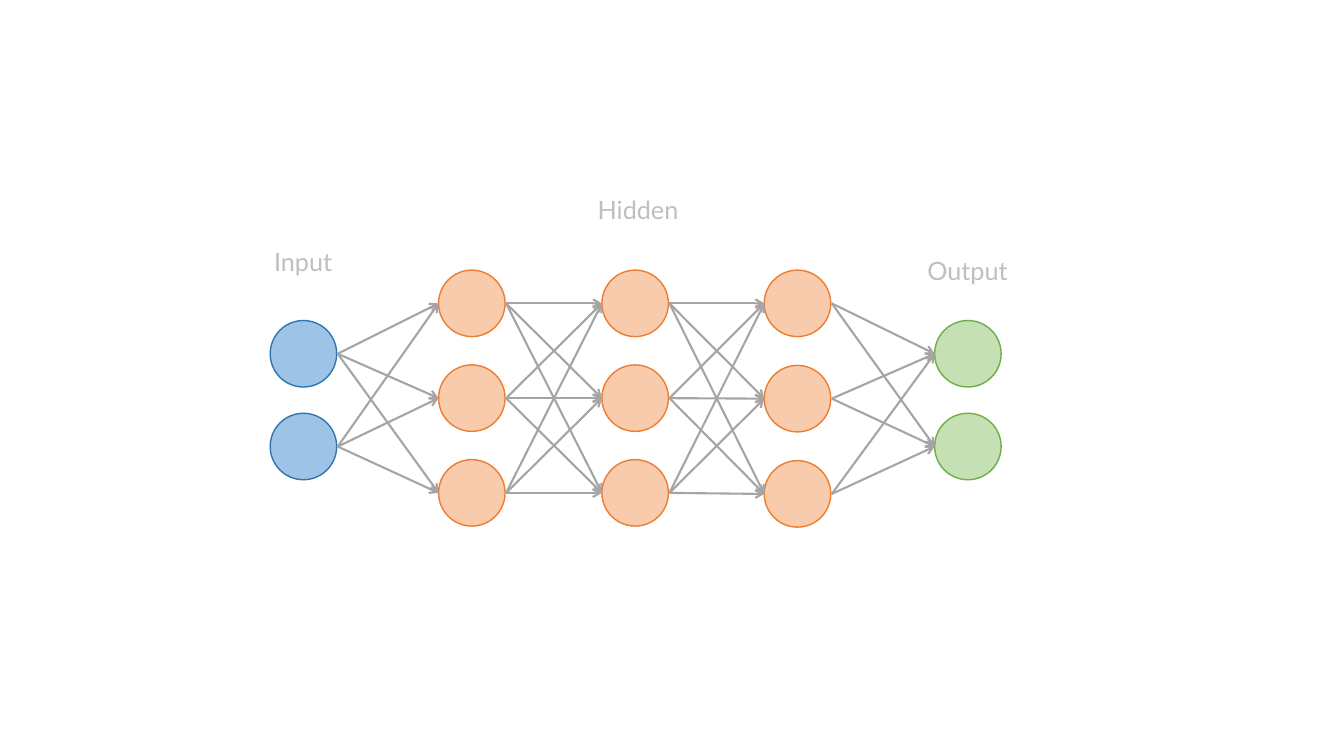
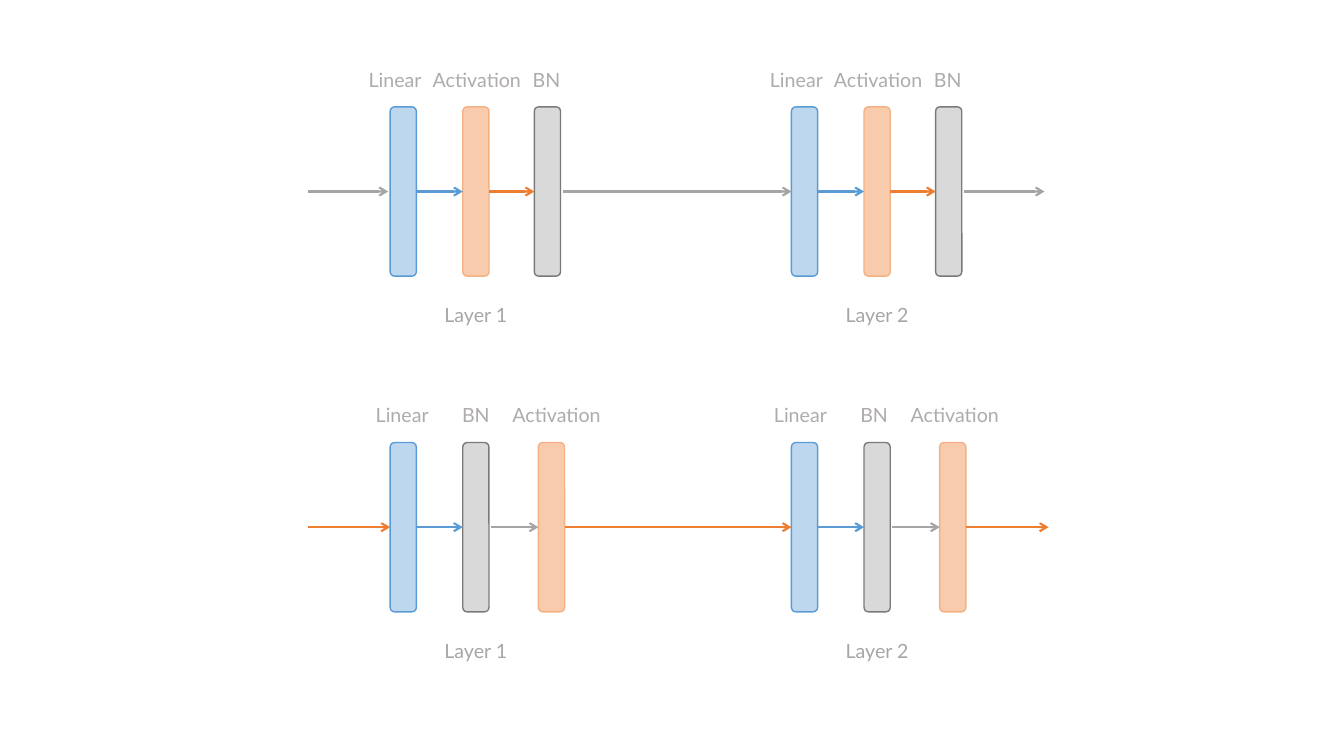
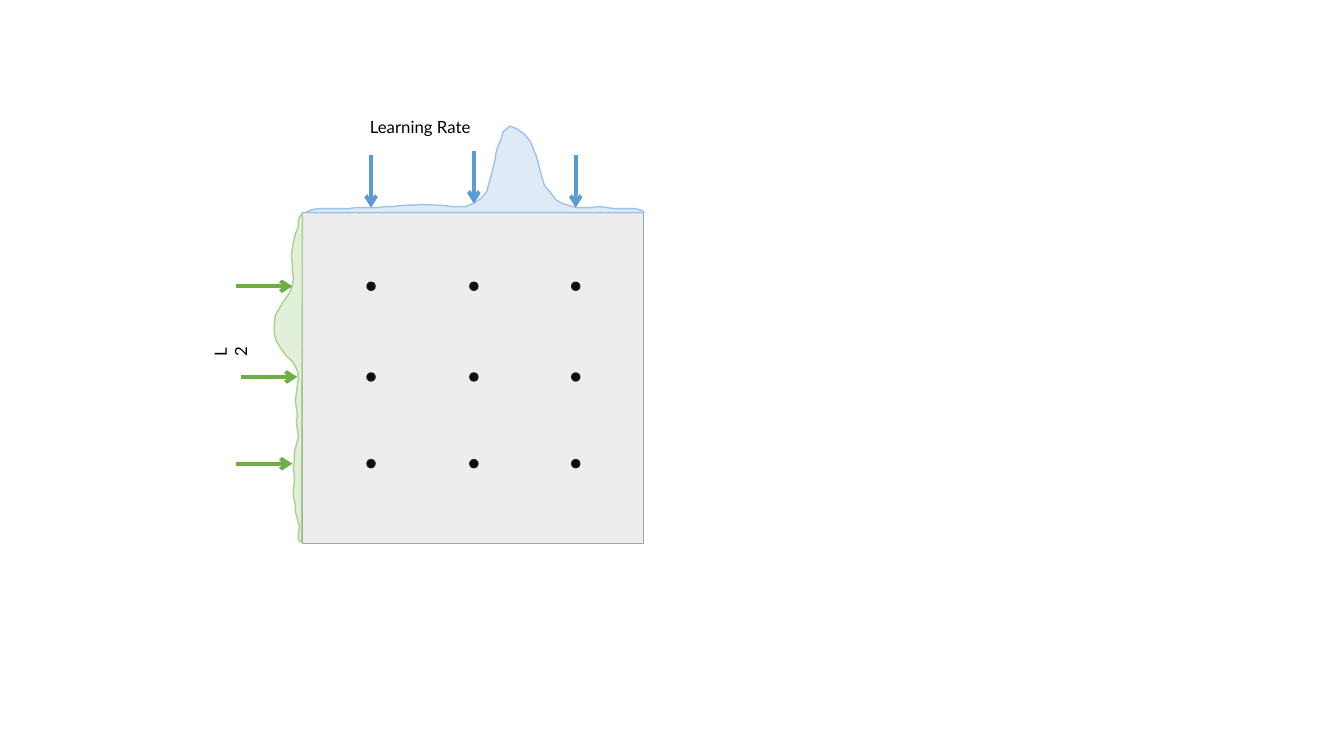
import pptx
import pptx.util
import pptx.dml.color
import pptx.enum.shapes
import pptx.enum.text
import pptx.oxml.ns
import lxml.etree

Inches = pptx.util.Inches
Pt = pptx.util.Pt
SHAPE = pptx.enum.shapes.MSO_SHAPE
ALIGN = pptx.enum.text.PP_ALIGN

FONT = "Lato"
COLORS = {
    "blue": "5B9BD5", "blue_dark": "2E75B6", "blue_mid": "9DC3E6",
    "blue_light": "BDD7EE", "blue_pale": "DEEBF7",
    "orange": "ED7D31", "orange_mid": "F4B183", "orange_light": "F8CBAD",
    "green": "70AD47", "green_mid": "A9D18E", "green_light": "C5E0B4", "green_pale": "E2F0D9",
    "gray": "A5A5A5", "gray_dark": "7A7A7A", "gray_light": "D9D9D9", "gray_pale": "EDEDED",
    "layer_text": "A6A6A6", "block_text": "AFABAB", "network_text": "BFBFBF",
    "black": "000000", "dot": "0D0D0D", "dot_line": "181717",
}


def rgb(name):
    return pptx.dml.color.RGBColor.from_string(COLORS[name])


def paint(shape, fill, line):
    shape.shadow.inherit = False
    shape.fill.solid()
    shape.fill.fore_color.rgb = rgb(fill)
    shape.line.color.rgb = rgb(line)
    shape.line.width = Pt(1)


def add_preset(slide, kind, left, top, width, height, fill, line):
    shape = slide.shapes.add_shape(kind, Inches(left), Inches(top), Inches(width), Inches(height))
    paint(shape, fill, line)


def add_arrow(slide, start, end, color, width=1.5):
    connector = slide.shapes.add_connector(
        pptx.enum.shapes.MSO_CONNECTOR.STRAIGHT, *[Inches(value) for value in (*start, *end)])
    connector.line.color.rgb = rgb(color)
    connector.line.width = Pt(width)
    qn = pptx.oxml.ns.qn
    lxml.etree.SubElement(connector.line._get_or_add_ln(), qn("a:tailEnd"), type="arrow")
    lxml.etree.SubElement(connector._element.spPr, qn("a:effectLst"))


def add_label(slide, text, left, top, width, height, size, color, align=ALIGN.LEFT, wrap=True):
    box = slide.shapes.add_textbox(Inches(left), Inches(top), Inches(width), Inches(height))
    box.text_frame.word_wrap = wrap
    paragraph = box.text_frame.paragraphs[0]
    paragraph.alignment = align
    run = paragraph.add_run()
    run.text = text
    run.font.name = FONT
    run.font.size = Pt(size)
    run.font.color.rgb = rgb(color)
    return box


NODE = 0.66
NODE_STYLES = {
    "input": ("blue_mid", "blue_dark"),
    "hidden": ("orange_light", "orange"),
    "output": ("green_light", "green"),
}
NETWORK_LAYERS = [
    ("input", 0, 0.5, 2, 0.92),
    ("hidden", 1.67, 0, 3, 0.94),
    ("hidden", 3.29, 0, 3, 0.94),
    ("hidden", 4.9, 0, 3, 0.945),
    ("output", 6.59, 0.5, 2, 0.92),
]
NETWORK_LABELS = [("Input", -0.06, -0.29), ("Hidden", 3.15, -0.8), ("Output", 6.42, -0.2)]


def add_network(slide, left, top):
    columns = []
    for style, x, y, count, pitch in NETWORK_LAYERS:
        column = [(left + x, top + y + pitch * index) for index in range(count)]
        for node in column:
            add_preset(slide, SHAPE.OVAL, *node, NODE, NODE, *NODE_STYLES[style])
        columns.append(column)
    for sources, targets in zip(columns, columns[1:]):
        for source_x, source_y in sources:
            for target_x, target_y in targets:
                add_arrow(slide, (source_x + NODE + 0.01, source_y + NODE / 2),
                          (target_x, target_y + NODE / 2), "gray")
    for text, x, y in NETWORK_LABELS:
        add_label(slide, text, left + x, top + y, 1.54, 0.4, 18, "network_text")


BLOCK_WIDTH, BLOCK_HEIGHT = 0.26, 1.68
LAYER_PITCH = 3.98
LEAD = 0.82
BLOCKS = {
    "Linear": ("blue_light", "blue", "blue", 0),
    "Activation": ("orange_light", "orange_mid", "orange", 0),
    "BN": ("gray_light", "gray_dark", "gray", 0.02),
}
ACTIVATION_FIRST = [("Linear", 0, 0.05), ("Activation", 0.72, 0.86), ("BN", 1.43, 1.55)]
NORM_FIRST = [("Linear", 0, 0.12), ("BN", 0.72, 0.85), ("Activation", 1.47, 1.65)]


def add_layer_row(slide, left, top, blocks, label_pitch):
    middle = top + BLOCK_HEIGHT / 2
    placed = []
    for layer in range(2):
        layer_left = left + layer * LAYER_PITCH
        for name, x, label_center in blocks:
            fill, line, _, _ = BLOCKS[name]
            add_preset(slide, SHAPE.ROUNDED_RECTANGLE, layer_left + x, top,
                       BLOCK_WIDTH, BLOCK_HEIGHT, fill, line)
            add_label(slide, name, left + layer * label_pitch + label_center - 0.6, top - 0.44,
                      1.2, 0.34, 14, "block_text", ALIGN.CENTER)
            placed.append((name, layer_left + x))
        add_label(slide, f"Layer {layer + 1}", layer_left + 0.08, top + 1.9,
                  1.54, 0.34, 14, "layer_text", ALIGN.CENTER)
    last_name, last_left = placed[-1]
    ends = [x for _, x in placed[1:]] + [last_left + BLOCK_WIDTH + LEAD]
    for (name, x), end in zip(placed, ends):
        _, _, color, gap = BLOCKS[name]
        add_arrow(slide, (x + BLOCK_WIDTH + gap, middle), (end, middle), color)
    _, _, color, gap = BLOCKS[last_name]
    add_arrow(slide, (left - LEAD, middle), (left - gap, middle), color)


PLOT_WIDTH, PLOT_HEIGHT = 3.38, 3.28
DOT = 0.08
RATE_TICKS = [(0.68, 0.05), (1.7, 0.09), (2.71, 0.05)]
L2_TICKS = [(0.73, 0.1), (1.63, 0.05), (2.49, 0.1)]
RATE_CURVE = [
    (0.03, 0), (0.1, 0.03), (0.17, 0.04), (0.46, 0.04), (0.53, 0.05), (0.75, 0.05),
    (0.82, 0.06), (0.9, 0.06), (0.97, 0.07), (1.19, 0.08), (1.41, 0.07), (1.48, 0.06),
    (1.62, 0.06), (1.69, 0.09), (1.77, 0.14), (1.83, 0.21), (1.85, 0.29), (1.87, 0.36),
    (1.89, 0.44), (1.91, 0.52), (1.92, 0.59), (1.94, 0.66), (1.97, 0.73), (1.99, 0.8),
    (2.06, 0.86), (2.13, 0.83), (2.2, 0.78), (2.26, 0.71), (2.29, 0.63), (2.32, 0.56),
    (2.34, 0.49), (2.36, 0.41), (2.38, 0.34), (2.4, 0.27), (2.46, 0.2), (2.51, 0.13),
    (2.58, 0.09), (2.65, 0.07), (2.72, 0.05), (2.87, 0.05), (2.94, 0.06), (3.02, 0.05),
    (3.09, 0.04), (3.3, 0.04), (3.37, 0.02), (3.39, 0),
]
L2_CURVE = [
    (0, 0), (0.07, 0.04), (0.14, 0.04), (0.21, 0.07), (0.29, 0.09), (0.36, 0.1),
    (0.43, 0.11), (0.5, 0.1), (0.58, 0.1), (0.65, 0.09), (0.72, 0.1), (0.8, 0.13),
    (0.87, 0.18), (0.95, 0.23), (1.02, 0.27), (1.12, 0.28), (1.2, 0.28), (1.27, 0.26),
    (1.34, 0.22), (1.42, 0.16), (1.49, 0.09), (1.57, 0.05), (1.64, 0.04), (1.71, 0.05),
    (1.79, 0.06), (1.86, 0.07), (1.94, 0.06), (2.01, 0.05), (2.08, 0.06), (2.15, 0.05),
    (2.23, 0.04), (2.3, 0.06), (2.38, 0.08), (2.46, 0.08), (2.53, 0.09), (2.6, 0.08),
    (2.67, 0.08), (2.75, 0.09), (2.82, 0.09), (2.9, 0.07), (2.97, 0.07), (3.04, 0.05),
    (3.11, 0.03), (3.18, 0.04), (3.25, 0.04), (3.27, 0.01),
]


def add_margin(slide, place, curve, ticks, length, fill, line, arrow_color):
    points = [tuple(Inches(value) for value in place(*point)) for point in curve]
    builder = slide.shapes.build_freeform(*points[0], scale=1.0)
    builder.add_line_segments(points[1:], close=True)
    paint(builder.convert_to_shape(), fill, line)
    for along, height in ticks:
        add_arrow(slide, place(along, height + length), place(along, height), arrow_color, 2.75)


def add_search_grid(slide, left, top):
    add_preset(slide, SHAPE.RECTANGLE, left, top, PLOT_WIDTH, PLOT_HEIGHT, "gray_pale", "gray")
    add_label(slide, "Learning Rate", left + 0.57, top - 1, 1.22, 0.3, 12, "black", wrap=False)
    axis_label = add_label(slide, "L2", left - 1, top + 1.19, 0.37, 0.3, 12, "black")
    axis_label.rotation = 270
    for y, _ in L2_TICKS:
        for x, _ in RATE_TICKS:
            add_preset(slide, SHAPE.OVAL, left + x - DOT / 2, top + y - DOT / 2,
                       DOT, DOT, "dot", "dot_line")
    add_margin(slide, lambda along, height: (left + along, top - height),
               RATE_CURVE, RATE_TICKS, 0.52, "blue_pale", "blue_mid", "blue")
    add_margin(slide, lambda along, height: (left - height, top + along),
               L2_CURVE, L2_TICKS, 0.56, "green_pale", "green_mid", "green")


presentation = pptx.Presentation()
presentation.slide_width = Inches(13.33)
presentation.slide_height = Inches(7.5)
blank = presentation.slide_layouts[6]

add_network(presentation.slides.add_slide(blank), 2.68, 2.68)

layers_slide = presentation.slides.add_slide(blank)
add_layer_row(layers_slide, 3.87, 1.06, ACTIVATION_FIRST, 3.98)
add_layer_row(layers_slide, 3.87, 4.39, NORM_FIRST, 3.95)

add_search_grid(presentation.slides.add_slide(blank), 3, 2.11)

presentation.save("out.pptx")
